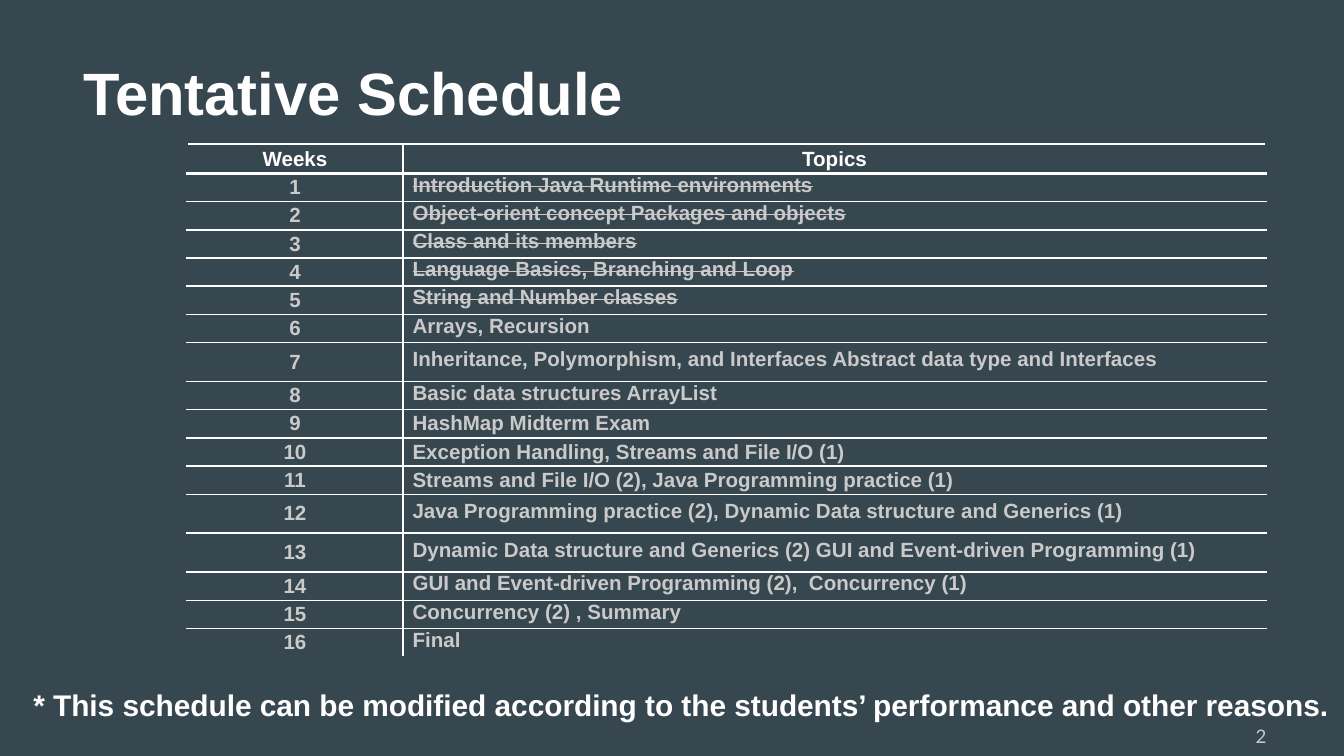
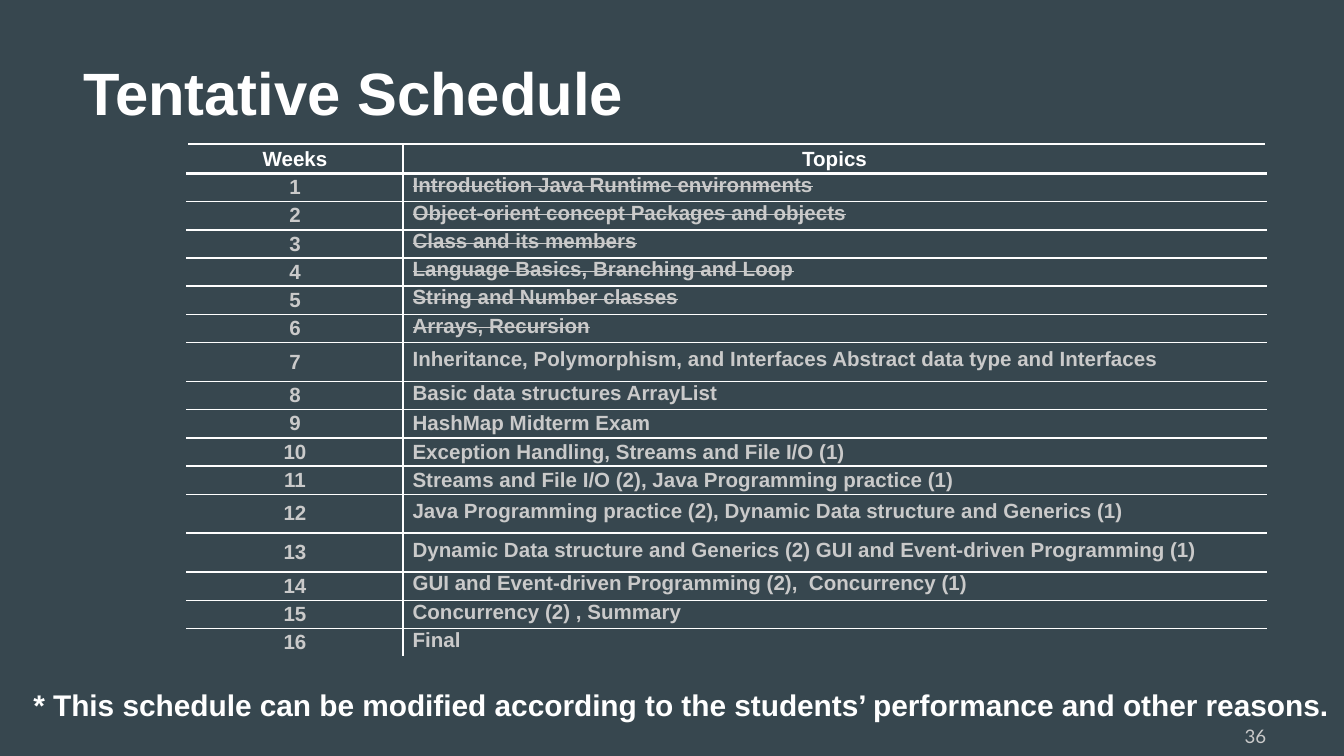
"""Builds two schedule slides that differ in the weeks done and the page number."""
from lxml import etree
from pptx import Presentation
from pptx.dml.color import RGBColor
from pptx.enum.text import MSO_ANCHOR, PP_ALIGN
from pptx.oxml.ns import qn
from pptx.util import Inches, Pt

LEFT, MID, RIGHT = PP_ALIGN.LEFT, PP_ALIGN.CENTER, PP_ALIGN.RIGHT
TOP, CORE = MSO_ANCHOR.TOP, MSO_ANCHOR.MIDDLE

TITLE = "Tentative Schedule"
NOTE = "* This schedule can be modified according to the students’ performance and other reasons."
HEAD = ("Weeks", "Topics")
TOPICS = [
    "Introduction Java Runtime environments",
    "Object-orient concept Packages and objects",
    "Class and its members",
    "Language Basics, Branching and Loop",
    "String and Number classes",
    "Arrays, Recursion",
    "Inheritance, Polymorphism, and Interfaces Abstract data type and Interfaces",
    "Basic data structures ArrayList",
    "HashMap Midterm Exam",
    "Exception Handling, Streams and File I/O (1)",
    "Streams and File I/O (2), Java Programming practice (1)",
    "Java Programming practice (2), Dynamic Data structure and Generics (1)",
    "Dynamic Data structure and Generics (2) GUI and Event-driven Programming (1)",
    "GUI and Event-driven Programming (2),  Concurrency (1)",
    "Concurrency (2) , Summary",
    "Final",
]
PAGES = [{"page": "2", "done": 5}, {"page": "36", "done": 6}]
TALL = {7, 12, 13}
LOOSE = {9, 10, 11}

WIDE = 10
HIGH = WIDE * 9 / 16
COLS = (1.61, 6.42)
HEAD_H, ROW_H, TALL_H = 0.22, 0.21, 0.29
TIGHT = 0.67
BACK, WHITE, GREY = "37474F", "FFFFFF", "CACACA"
THIN, SIDE, THICK = 1, 1.5, 2.25
SANS, PAGE_FONT = "Arial", "Lato"


def paint(code):
    return RGBColor.from_string(code)


def write(frame, text, size, color, align=LEFT, font=SANS, bold=True, space=None, strike=False):
    para = frame.paragraphs[0]
    para.alignment = align
    if space:
        para.line_spacing = space
    run = para.add_run()
    run.text = text
    run.font.name, run.font.size, run.font.bold = font, Pt(size), bold
    run.font.color.rgb = paint(color)
    if strike:
        run.font._element.set("strike", "sngStrike")


def label(slide, box, text, size, color, anchor=TOP, **style):
    frame = slide.shapes.add_textbox(*map(Inches, box)).text_frame
    frame.word_wrap = True
    frame.vertical_anchor = anchor
    write(frame, text, size, color, **style)


def edge(cell, side, color, width):
    line = etree.SubElement(cell._tc.get_or_add_tcPr(), qn("a:ln" + side), w=str(Pt(width)))
    fill = etree.SubElement(line, qn("a:solidFill"))
    etree.SubElement(fill, qn("a:srgbClr"), val=color)


def frame_cell(cell, row, col):
    last = row == len(TOPICS)
    edge(cell, "L", *((WHITE, SIDE) if col else (BACK, THIN)))
    edge(cell, "R", *((BACK, THIN) if col else (WHITE, SIDE)))
    edge(cell, "T", WHITE, THICK if row == 1 else THIN)
    edge(cell, "B", BACK if last else WHITE, THICK if row == 0 else THIN)
    cell.fill.background()
    cell.vertical_anchor = CORE
    pad, top = (0.07, 0) if row else (0.01, 0.01)
    cell.margin_left = cell.margin_right = Inches(pad)
    cell.margin_top, cell.margin_bottom = Inches(top), 0


def schedule(slide, done):
    rows = [HEAD] + [(str(week), topic) for week, topic in enumerate(TOPICS, 1)]
    highs = [HEAD_H] + [TALL_H if week in TALL else ROW_H for week in range(1, len(rows))]
    box = (1.39, 1.07, sum(COLS), sum(highs))
    grid = slide.shapes.add_table(len(rows), len(COLS), *map(Inches, box)).table
    grid.first_row = grid.horz_banding = False
    for col, width in enumerate(COLS):
        grid.columns[col].width = Inches(width)
    for row, texts in enumerate(rows):
        grid.rows[row].height = Inches(highs[row])
        for col, text in enumerate(texts):
            cell = grid.cell(row, col)
            frame_cell(cell, row, col)
            topic = row > 0 and col == 1
            write(cell.text_frame, text, 11, GREY if row else WHITE,
                  align=LEFT if topic else MID,
                  space=TIGHT if topic and row not in LOOSE else None,
                  strike=topic and row <= done)


def build(deck, page, done):
    slide = deck.slides.add_slide(deck.slide_layouts[6])
    slide.background.fill.solid()
    slide.background.fill.fore_color.rgb = paint(BACK)
    label(slide, (0.15, 5.06, 9.9, 0.28), NOTE, 16, WHITE)
    label(slide, (0.52, 0.45, 7.67, 0.47), TITLE, 32, WHITE, anchor=CORE)
    schedule(slide, done)
    label(slide, (7.44, 5.38, 2.08, 0.25), page, 10, GREY,
          align=RIGHT, font=PAGE_FONT, bold=False, space=0.8)


def main():
    deck = Presentation()
    deck.slide_width, deck.slide_height = Inches(WIDE), Inches(HIGH)
    for item in PAGES:
        build(deck, **item)
    deck.save("out.pptx")


if __name__ == "__main__":
    main()
